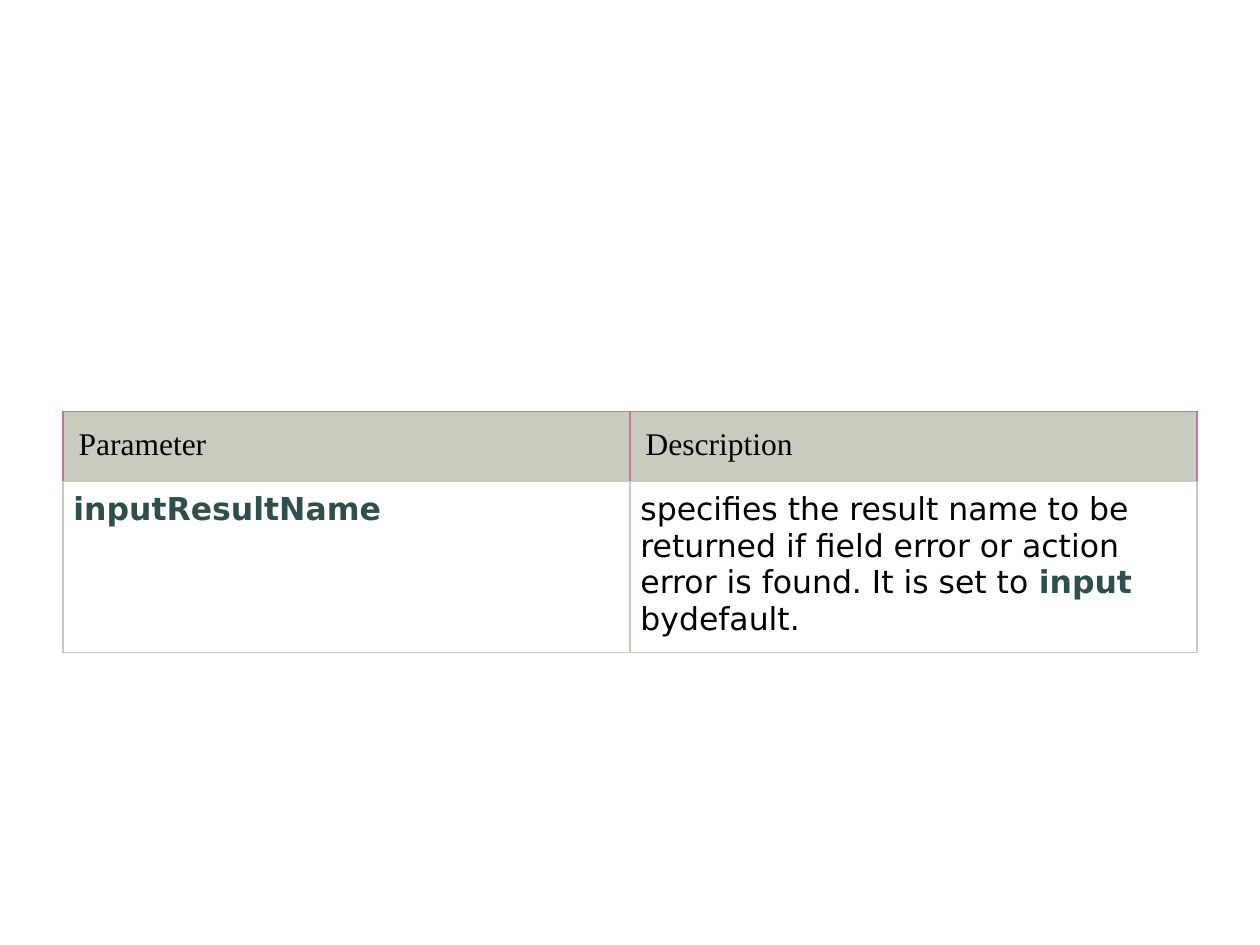
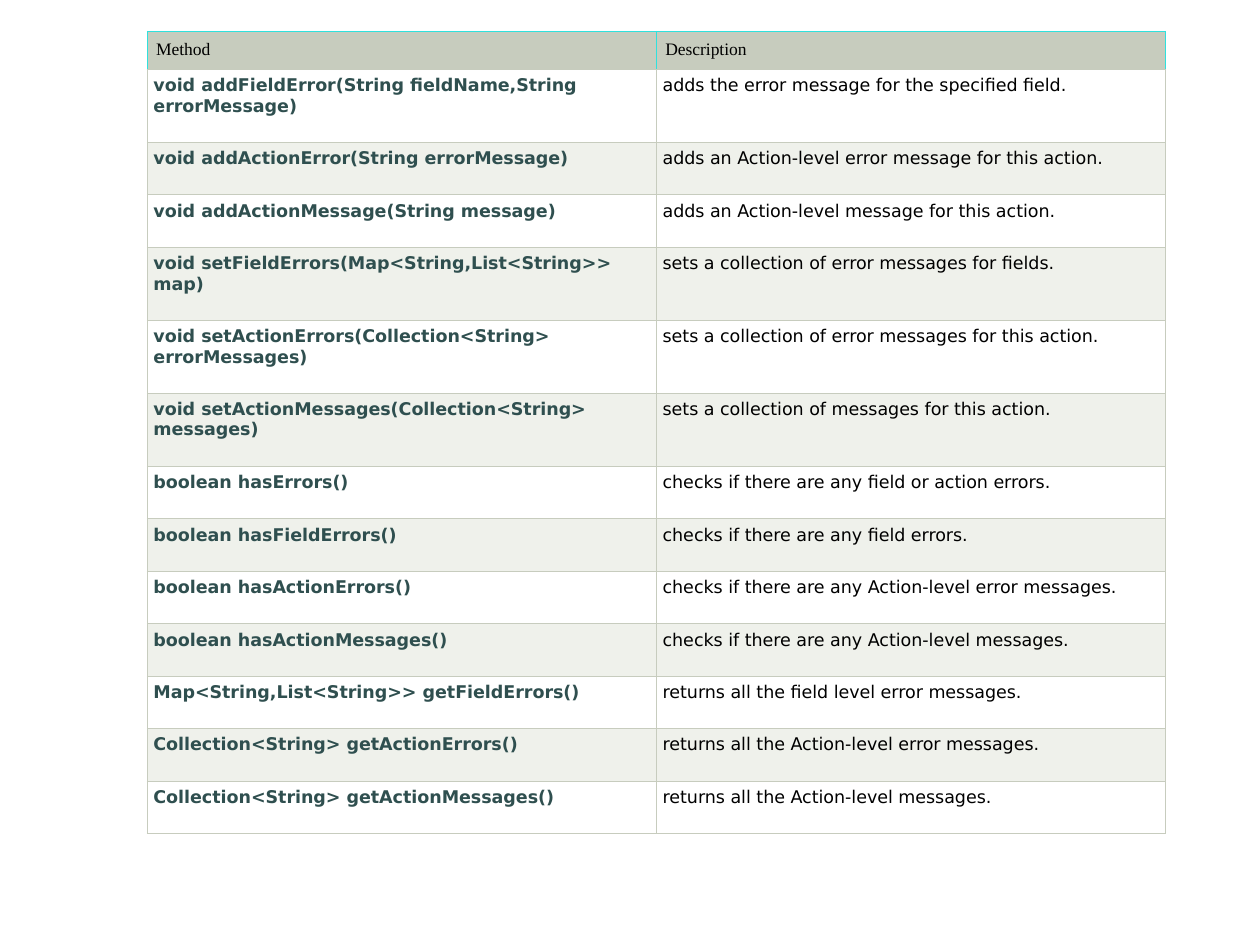
from lxml.etree import SubElement as add_element
from pptx import Presentation
from pptx.dml.color import RGBColor
from pptx.oxml.ns import qn
from pptx.util import Pt

# Content: in each text, "|" switches between plain and highlighted words
PARAMETERS = [
    ("Parameter", "Description"),
    ("inputResultName",
     "specifies the result name to be returned if field error or action error "
     "is found. It is set to |input |bydefault."),
]
METHODS = [
    ("Method", "Description"),
    ("void addFieldError(String fieldName,String errorMessage)",
     "adds the error message for the specified field."),
    ("void addActionError(String errorMessage)",
     "adds an Action-level error message for this action."),
    ("void addActionMessage(String message)",
     "adds an Action-level message for this action."),
    ("void setFieldErrors(Map<String,List<String>> map)",
     "sets a collection of error messages for fields."),
    ("void setActionErrors(Collection<String> errorMessages)",
     "sets a collection of error messages for this action."),
    ("void setActionMessages(Collection<String> messages)",
     "sets a collection of messages for this action."),
    ("boolean hasErrors()", "checks if there are any field or action errors."),
    ("boolean hasFieldErrors()", "checks if there are any field errors."),
    ("boolean hasActionErrors()", "checks if there are any Action-level error messages."),
    ("boolean hasActionMessages()", "checks if there are any Action-level messages."),
    ("Map<String,List<String>> getFieldErrors()",
     "returns all the field level error messages."),
    ("Collection<String> getActionErrors()",
     "returns all the Action-level error messages."),
    ("Collection<String> getActionMessages()",
     "returns all the Action-level messages."),
]
TALL_METHODS = (1, 4, 5, 6)  # rows whose signature takes two lines
method_heights = [21.7] + [41.7 if row in TALL_METHODS else 30
                           for row in range(1, len(METHODS))]

TABLES = [
    dict(rows=PARAMETERS, left=36, top=235.4, column_width=324, heights=[39.6, 98],
         size=18, header_inset=9, body_inset=6, header_line="C0749A"),
    dict(rows=METHODS, left=84.2, top=18, column_width=291, heights=method_heights,
         size=10, header_inset=5, body_inset=3.5, header_line="30E1DD"),
]

# Shared look
SAGE = "C7CCBE"
BANDS = ("FFFFFF", "EFF1EB")
HEADER_TEXT = dict(name="Times New Roman", bold=False, color="000000")
PLAIN_TEXT = dict(name="DejaVu Sans", bold=False, color="000000")
CODE_TEXT = dict(name="DejaVu Sans", bold=True, color="2F4F4F")


def rgb(value):
    return RGBColor.from_string(value)


def draw_borders(cell, colors):
    properties = cell._tc.get_or_add_tcPr()
    for side, color in zip("LRTB", colors):
        line = add_element(properties, qn(f"a:ln{side}"), w=str(Pt(0.75)))
        fill = add_element(line, qn("a:solidFill"))
        add_element(fill, qn("a:srgbClr"), val=color)


def format_cell(cell, inset, line_colors, fill_color):
    for side in ("left", "right", "top", "bottom"):
        setattr(cell, f"margin_{side}", Pt(inset))
    draw_borders(cell, line_colors)
    cell.fill.solid()
    cell.fill.fore_color.rgb = rgb(fill_color)


def write_spans(para, spans, size):
    for text, look in spans:
        span = para.add_run()
        span.text = text
        span.font.size = Pt(size)
        for key, value in look.items():
            if key == "color":
                span.font.color.rgb = rgb(value)
            else:
                setattr(span.font, key, value)


def add_reference_table(page, rows, left, top, column_width, heights, size,
                        header_inset, body_inset, header_line):
    columns = len(rows[0])
    frame = page.shapes.add_table(len(rows), columns, Pt(left), Pt(top),
                                  Pt(column_width * columns), Pt(sum(heights)))
    table = frame.table
    table.first_row = table.horz_banding = False
    for column in table.columns:
        column.width = Pt(column_width)

    for row, (texts, height) in enumerate(zip(rows, heights)):
        table.rows[row].height = Pt(height)
        for column, text in enumerate(texts):
            cell = table.cell(row, column)
            if row == 0:
                format_cell(cell, header_inset, [header_line] * 3 + [SAGE], SAGE)
                spans = [(text, HEADER_TEXT)]
            else:
                format_cell(cell, body_inset, [SAGE] * 4, BANDS[(row - 1) % 2])
                # The first column is code; later columns start plain
                looks = (CODE_TEXT,) if column == 0 else (PLAIN_TEXT, CODE_TEXT)
                spans = [(part, looks[index % len(looks)])
                         for index, part in enumerate(text.split("|"))]
            write_spans(cell.text_frame.paragraphs[0], spans, size)


def main():
    deck = Presentation()
    deck.slide_width, deck.slide_height = Pt(720), Pt(540)
    for settings in TABLES:
        page = deck.slides.add_slide(deck.slide_layouts[6])
        add_reference_table(page, **settings)
    deck.save("out.pptx")


if __name__ == "__main__":
    main()
